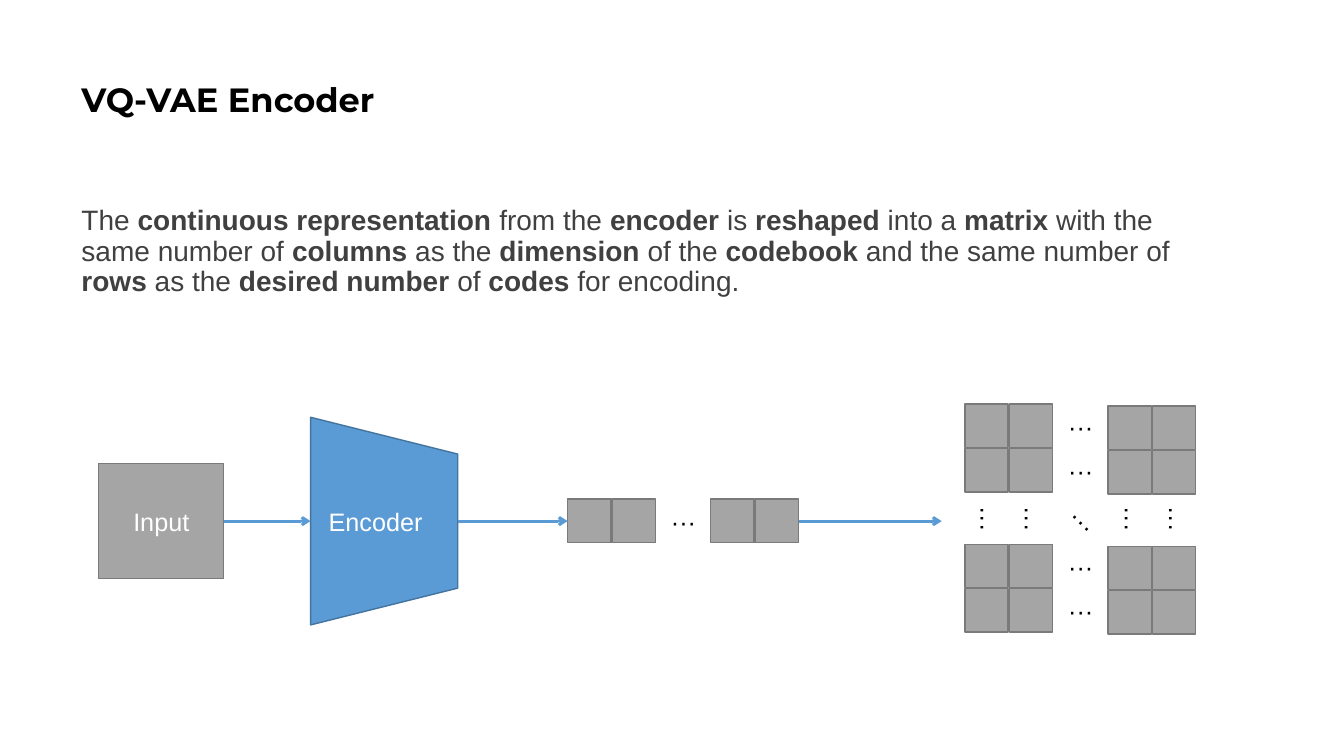
from pptx import Presentation
from pptx.dml.color import RGBColor
from pptx.enum.shapes import MSO_CONNECTOR, MSO_SHAPE
from pptx.enum.text import MSO_ANCHOR, MSO_AUTO_SIZE, PP_ALIGN
from pptx.oxml.ns import qn
from pptx.util import Emu, Pt
from lxml.etree import SubElement

PX = 9144  # 100 px to the inch
GREY, GREY_EDGE = "A5A5A5", "7A7A7A"
BLUE, BLUE_EDGE = "5B9BD5", "43739E"
BLACK, WHITE, BODY_GREY = "000000", "FFFFFF", "404040"
CELL, CELL_STEP = 43, 44
PAIR_STEP = 142  # left edge of one pair of cells to the next
BLOCK_STEP = 139  # top of one matrix block to the next

EXPLANATION = (
    "The **continuous representation** from the **encoder **is **reshaped **into a "
    "**matrix **with the same number of **columns **as the **dimension **of the "
    "**codebook **and the same number of **rows **as the **desired number **of "
    "**codes **for encoding."
)


def px(*lengths):
    return [Emu(length * PX) for length in lengths]


def rgb(value):
    return RGBColor.from_string(value)


def style(runs, size, color, font="Arial"):
    for run in runs:
        run.font.size, run.font.name = Pt(size), font
        run.font.color.rgb = rgb(color)


def add_text(slide, box, anchor=MSO_ANCHOR.TOP):
    textbox = slide.shapes.add_textbox(*px(*box))
    textbox.text_frame.word_wrap = True
    textbox.text_frame.vertical_anchor = anchor
    return textbox


def add_block(slide, kind, box, fill, edge, label=""):
    block = slide.shapes.add_shape(kind, *px(*box))
    block.shadow.inherit = False
    block.fill.solid()
    block.fill.fore_color.rgb = rgb(fill)
    block.line.color.rgb = rgb(edge)
    block.line.width = Pt(1)
    if label:
        frame = block.text_frame
        frame.text = label
        frame.vertical_anchor = MSO_ANCHOR.MIDDLE
        frame.paragraphs[0].alignment = PP_ALIGN.CENTER
        style(frame.paragraphs[0].runs, 18, WHITE)
    return block


def add_dots(slide, x, y, width=52, rotation=0):
    dots = add_text(slide, (x, y, width, 40))
    dots.rotation = rotation
    frame = dots.text_frame
    frame.auto_size = MSO_AUTO_SIZE.SHAPE_TO_FIT_TEXT
    frame.text = "···"
    frame.paragraphs[0].alignment = PP_ALIGN.CENTER
    style(frame.paragraphs[0].runs, 18, BLACK)


def add_arrow(slide, start, end, y):
    arrow = slide.shapes.add_connector(MSO_CONNECTOR.STRAIGHT, *px(start, y, end, y))
    arrow.line.color.rgb = rgb(BLUE)
    arrow.line.width = Pt(2)
    SubElement(arrow.line._get_or_add_ln(), qn("a:tailEnd"), type="arrow")
    SubElement(arrow._element.spPr, qn("a:effectLst"))


def add_heading(slide, box):
    frame = add_text(slide, box, MSO_ANCHOR.MIDDLE).text_frame
    frame.text = "VQ-VAE Encoder"
    heading = frame.paragraphs[0]
    heading.line_spacing = 0.9
    heading.font.bold = True
    style(heading.runs, 24, BLACK, "Montserrat")
    heading.runs[0].font.bold = True


def add_explanation(slide, box):
    explanation = add_text(slide, box).text_frame.paragraphs[0]
    explanation.line_spacing = 0.9
    explanation.space_before = Pt(10)
    for index, part in enumerate(EXPLANATION.split("**")):
        run = explanation.add_run()
        run.text = part
        run.font.bold = index % 2 == 1
    style(explanation.runs, 20, BODY_GREY)


def add_code_row(slide, x, y, drop=0):
    """Two pairs of cells with dots between; drop lowers the right pair."""
    for pair in range(2):
        for cell in range(2):
            left = x + pair * PAIR_STEP + cell * CELL_STEP
            add_block(slide, MSO_SHAPE.RECTANGLE,
                      (left, y + pair * drop, CELL, CELL), GREY, GREY_EDGE)
    add_dots(slide, x + 2 * CELL_STEP - 1, y + 2, 56)


def add_encoder(slide, x, y):
    # Input and encoder, centred on the line of flow at y
    add_block(slide, MSO_SHAPE.RECTANGLE, (x, y - 57, 124, 114), GREY, GREY_EDGE, "Input")
    encoder = add_block(slide, MSO_SHAPE.TRAPEZOID, (x + 180, y - 73, 206, 146),
                        BLUE, BLUE_EDGE, "Encoder")
    encoder.rotation = 90
    encoder.text_frame._txBody.bodyPr.set("vert", "vert270")


def add_matrix(slide, x, y):
    # Top and bottom blocks of two rows each
    for block in range(2):
        for row in range(2):
            add_code_row(slide, x, y + block * BLOCK_STEP + row * CELL_STEP, drop=2)
    # Dots running down each column, and the diagonal in the middle
    for pair in range(2):
        for cell in range(2):
            add_dots(slide, x - 6 + pair * (PAIR_STEP + 1) + cell * CELL_STEP,
                     y + 94, rotation=90)
    add_dots(slide, x + 91, y + 96, rotation=45)


def add_flow(slide, x, y):
    add_encoder(slide, x, y)
    add_code_row(slide, x + 465, y - 22)
    add_matrix(slide, x + 859, y - 116)
    for start, end in ((124, 210), (356, 465), (694, 836)):
        add_arrow(slide, x + start, x + end, y)


def main():
    deck = Presentation()
    deck.slide_width, deck.slide_height = px(1333, 750)
    slide = deck.slides.add_slide(deck.slide_layouts[6])
    add_heading(slide, (71, 28, 1150, 145))
    add_explanation(slide, (71, 200, 1150, 109))
    add_flow(slide, 98, 517)
    deck.save("out.pptx")


if __name__ == "__main__":
    main()
